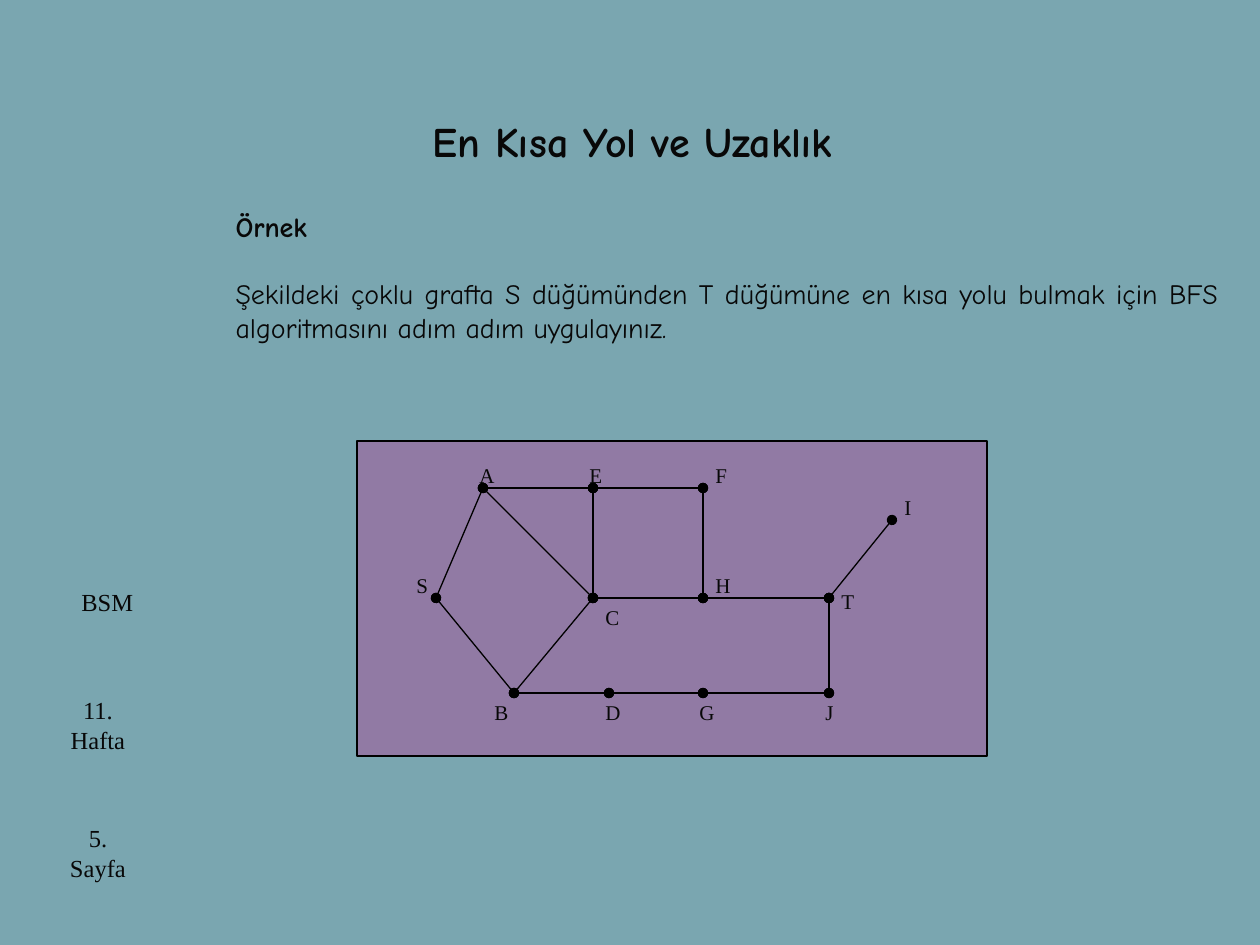
from dataclasses import dataclass

from lxml.etree import SubElement
from pptx import Presentation
from pptx.dml.color import RGBColor
from pptx.enum.shapes import MSO_CONNECTOR as Connector, MSO_SHAPE as Preset
from pptx.enum.text import MSO_ANCHOR as Anchor, MSO_AUTO_SIZE as AutoSize, PP_ALIGN as Align
from pptx.oxml.ns import qn
from pptx.util import Emu, Pt

EMU_PER_PX = 914400 / 126
SERIF = "Times New Roman"
COMIC = "Comic Neue"
INK = "080808"
BLACK = "000000"
LABEL_SIZE = 79
LABEL_STEP = 16


@dataclass(frozen=True)
class Node:
    """A graph node and its label offset in label steps."""
    name: str
    x: int
    y: int
    label_dx: int
    label_dy: int


@dataclass(frozen=True)
class Caption:
    """A short side text in its frame."""
    text: str
    frame: tuple[int, int, int, int]
    align: Align


NODES = [
    Node("A", 483, 488, -1, -2),
    Node("E", 593, 488, -1, -2),
    Node("F", 703, 488, 0, -2),
    Node("S", 436, 598, -2, -2),
    Node("C", 593, 598, 0, 0),
    Node("H", 703, 598, 0, -2),
    Node("T", 829, 598, 0, -1),
    Node("I", 892, 520, 0, -2),
    Node("B", 514, 693, -2, 0),
    Node("D", 609, 693, -1, 0),
    Node("G", 703, 693, -1, 0),
    Node("J", 829, 693, -1, 0),
]
EDGES = "AE EF FH HC CA CE CB BS SA BD DG GJ JT TH TI".split()
CAPTIONS = [
    Caption("11. Hafta", (49, 689, 98, 88), Align.CENTER),
    Caption("5. Sayfa", (49, 817, 98, 78), Align.CENTER),
    Caption("BSM", (69, 581, 78, 43), Align.LEFT),
]


def px(length: int) -> Emu:
    """Turn pixels into EMU."""
    return Emu(round(length * EMU_PER_PX))


def color(code: str) -> RGBColor:
    """Turn a hex string into a colour."""
    return RGBColor.from_string(code)


def add_span(para, text: str, size: int, font: str, bold: bool = False) -> None:
    """Add one formatted run to a paragraph."""
    span = para.add_run()
    span.text = text
    span.font.size = Pt(size)
    span.font.name = font
    span.font.bold = bold
    span.font.color.rgb = color(INK)


def add_text(shapes, text: str, frame: tuple[int, int, int, int], size: int, align: Align) -> None:
    """Add a wrapped serif text box."""
    box = shapes.add_textbox(*map(px, frame))
    box.text_frame.word_wrap = True
    para = box.text_frame.paragraphs[0]
    para.alignment = align
    add_span(para, text, size, SERIF)


def set_placeholder(holder, frame: tuple[int, int, int, int], top: int, bottom: int) -> None:
    """Move a placeholder and align its text to the top."""
    holder.left, holder.top, holder.width, holder.height = map(px, frame)
    text = holder.text_frame
    text.auto_size = AutoSize.NONE
    text.word_wrap = True
    text.vertical_anchor = Anchor.TOP
    text.margin_top, text.margin_bottom = px(top), px(bottom)


def add_body_para(para, text: str, bold: bool, gap: int) -> None:
    """Fill a justified body paragraph without a bullet."""
    para.alignment = Align.JUSTIFY
    para.space_before = Pt(gap)
    properties = para._p.get_or_add_pPr()
    properties.set("marL", "0")
    properties.set("indent", "0")
    SubElement(properties, qn("a:buNone"))
    add_span(para, text, 16, COMIC, bold)


def add_edge(shapes, start: Node, end: Node) -> None:
    """Draw an edge with a dot at each end."""
    edge = shapes.add_connector(Connector.STRAIGHT, *map(px, (start.x, start.y, end.x, end.y)))
    edge.line.color.rgb = color(BLACK)
    edge.line.width = Pt(0.75)
    line = edge.line._get_or_add_ln()
    for tag in ("a:headEnd", "a:tailEnd"):
        SubElement(line, qn(tag), type="oval")
    SubElement(edge._element.spPr, qn("a:effectLst"))


def add_graph(page) -> None:
    """Draw the panel, edges and node labels as one group."""
    shapes = page.shapes.add_group_shape().shapes
    panel = shapes.add_shape(Preset.RECTANGLE, *map(px, (357, 441, 630, 315)))
    panel.shadow.inherit = False
    panel.fill.solid()
    panel.fill.fore_color.rgb = color("917AA4")
    panel.line.color.rgb = color(BLACK)
    panel.line.width = Pt(0.75)
    by_name = {node.name: node for node in NODES}
    for start, end in EDGES:
        add_edge(shapes, by_name[start], by_name[end])
    for node in NODES:
        left = node.x + node.label_dx * LABEL_STEP
        top = node.y + node.label_dy * LABEL_STEP
        add_text(shapes, node.name, (left, top, LABEL_SIZE, LABEL_SIZE), 12, Align.LEFT)


def main() -> None:
    """Build and save the deck."""
    deck = Presentation()
    deck.slide_width, deck.slide_height = px(1260), px(945)
    page = deck.slides.add_slide(deck.slide_layouts[1])
    page.background.fill.solid()
    page.background.fill.fore_color.rgb = color("7AA6B0")

    title, body = page.shapes.title, page.placeholders[1]
    set_placeholder(title, (283, 94, 714, 127), 21, 5)
    heading = title.text_frame.paragraphs[0]
    heading.alignment = Align.CENTER
    add_span(heading, "En Kısa Yol ve Uzaklık ", 24, COMIC, True)

    set_placeholder(body, (223, 204, 1008, 175), 6, 0)
    add_body_para(body.text_frame.paragraphs[0], "Örnek", True, 0)
    question = (
        "Şekildeki çoklu grafta S düğümünden T düğümüne en kısa yolu bulmak için "
        "BFS algoritmasını adım adım uygulayınız."
    )
    add_body_para(body.text_frame.add_paragraph(), question, False, 19)

    add_graph(page)
    for caption in CAPTIONS:
        add_text(page.shapes, caption.text, caption.frame, 14, caption.align)
    deck.save("out.pptx")


if __name__ == "__main__":
    main()
